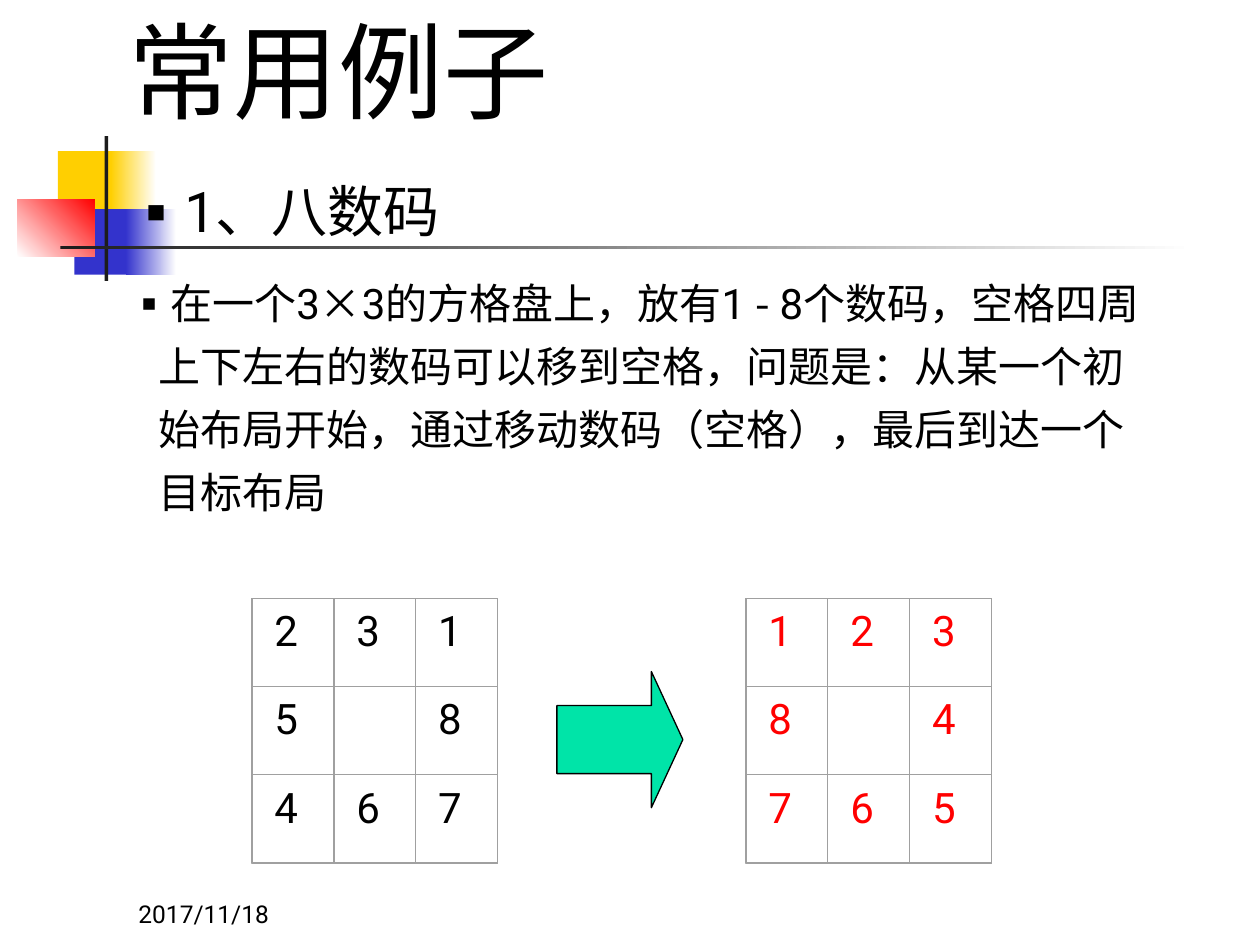
from lxml import etree
from pptx import Presentation
from pptx.dml.color import RGBColor
from pptx.enum import shapes, text
from pptx.oxml import ns
from pptx.util import Inches, Pt

COLORS = {
    "yellow": "FFCF01", "blue": "3333CC", "red": "FF0000", "white": "FFFFFF",
    "dark": "1C1C1C", "black": "000000", "grid": "A0A0A0", "arrow": "00E4A8",
}
LATIN, CJK = "Roboto", "Noto Sans CJK SC"
CELL_W, CELL_H = 0.65, 0.7
START = ["231", "5 8", "467"]
GOAL = ["123", "8 4", "765"]
RULES = [
    ("在一个", CJK), ("3", LATIN), ("×", CJK), ("3", LATIN),
    ("的方格盘上，放有", CJK), ("1 ", LATIN), ("- ", CJK), ("8", LATIN),
    ("个数码，空格四周上下左右的数码可以移到空格，问题是：从某一个初始布局开始，"
     "通过移动数码（空格），最后到达一个目标布局", CJK),
]


def rgb(name):
    return RGBColor.from_string(COLORS[name])


def add_block(parent, box, fill=None, line=None, width=0,
              kind=shapes.MSO_SHAPE.RECTANGLE):
    block = parent.add_shape(kind, *map(Inches, box))
    block.shadow.inherit = False
    if fill:
        block.fill.solid()
        block.fill.fore_color.rgb = rgb(fill)
    else:
        block.fill.background()
    if line:
        block.line.color.rgb = rgb(line)
        block.line.width = Pt(width)
    else:
        block.line.fill.background()
    return block


def add_fade(parent, box, first, last, angle=0):
    fade = add_block(parent, box).fill
    fade.gradient()
    fade.gradient_angle = angle
    for stop, color in zip(fade.gradient_stops, (first, last)):
        stop.color.rgb = rgb(color)


def add_text_frame(parent, box, anchor=text.MSO_ANCHOR.TOP):
    frame = parent.add_textbox(*map(Inches, box)).text_frame
    frame.word_wrap = True
    frame.vertical_anchor = anchor
    return frame


def add_run(paragraph, words, size, font=LATIN, color="black"):
    run = paragraph.add_run()
    run.text = words
    run.font.size = Pt(size)
    run.font.name = font
    run.font.color.rgb = rgb(color)
    east_asian = etree.SubElement(run.font._element, ns.qn("a:ea"))
    east_asian.set("typeface", font)


def set_bullet(paragraph, indent=Inches(0.24)):
    props = paragraph._p.get_or_add_pPr()
    props.set("marL", str(indent))
    props.set("indent", str(-indent))
    etree.SubElement(props, ns.qn("a:buFont")).set("typeface", CJK)
    etree.SubElement(props, ns.qn("a:buChar")).set("char", "▪")


def add_ornament(parent):
    add_block(parent, (0.46, 1.2, 0.48, 0.52), "yellow")
    add_fade(parent, (0.88, 1.2, 0.36, 0.52), "yellow", "white")
    add_block(parent, (0.59, 1.66, 0.46, 0.52), "blue")
    add_fade(parent, (1, 1.66, 0.4, 0.52), "blue", "white")
    add_fade(parent, (0.14, 1.58, 0.61, 0.46), "white", "red", 45)
    add_block(parent, (0.83, 1.08, 0.03, 1.15), "dark")
    add_fade(parent, (0.48, 1.95, 9, 0.03), "dark", "white")


def add_body(parent):
    frame = add_text_frame(parent, (0.92, 1.35, 8.42, 2.86))
    heading = frame.paragraphs[0]
    heading.alignment = text.PP_ALIGN.JUSTIFY
    set_bullet(heading)
    add_run(heading, "1、八数码", 32)
    rules = frame.add_paragraph()
    rules.line_spacing = 1.25
    rules.space_before = Pt(12)
    set_bullet(rules)
    for words, font in RULES:
        add_run(rules, words, 24, font)


def add_board(parent, left, top, rows, color):
    """Draw a 3×3 board, its blank square given as a space."""
    board = parent.add_group_shape().shapes
    for r, row in enumerate(rows):
        for c, digit in enumerate(row):
            x, y = left + c * CELL_W, top + r * CELL_H
            if digit != " ":
                frame = add_text_frame(board, (x + 0.08, y, 0.5, CELL_H))
                add_run(frame.paragraphs[0], digit, 24, color=color)
            add_block(board, (x, y, CELL_W, CELL_H), line="grid")
    add_block(board, (left, top, 3 * CELL_W, 3 * CELL_H), line="grid", width=0.75)


def main():
    deck = Presentation()
    deck.slide_width, deck.slide_height = Inches(10), Inches(7.5)
    canvas = deck.slides.add_slide(deck.slide_layouts[6]).shapes

    add_ornament(canvas)
    date = add_text_frame(canvas, (1, 6.92, 2.08, 0.5), text.MSO_ANCHOR.BOTTOM)
    add_run(date.paragraphs[0], "2017/11/18", 14)
    title = add_text_frame(canvas, (0.92, 0, 8.17, 1.11)).paragraphs[0]
    title.alignment = text.PP_ALIGN.JUSTIFY
    add_run(title, "常用例子", 60)
    add_body(canvas)

    add_board(canvas, 2, 4.75, START, "black")
    add_board(canvas, 5.92, 4.75, GOAL, "red")
    arrow = add_block(canvas, (4.42, 5.33, 1, 1.08), "arrow", "black", 0.75,
                      shapes.MSO_SHAPE.RIGHT_ARROW)
    arrow.adjustments[0], arrow.adjustments[1] = 0.5, 0.25
    deck.save("out.pptx")


if __name__ == "__main__":
    main()
